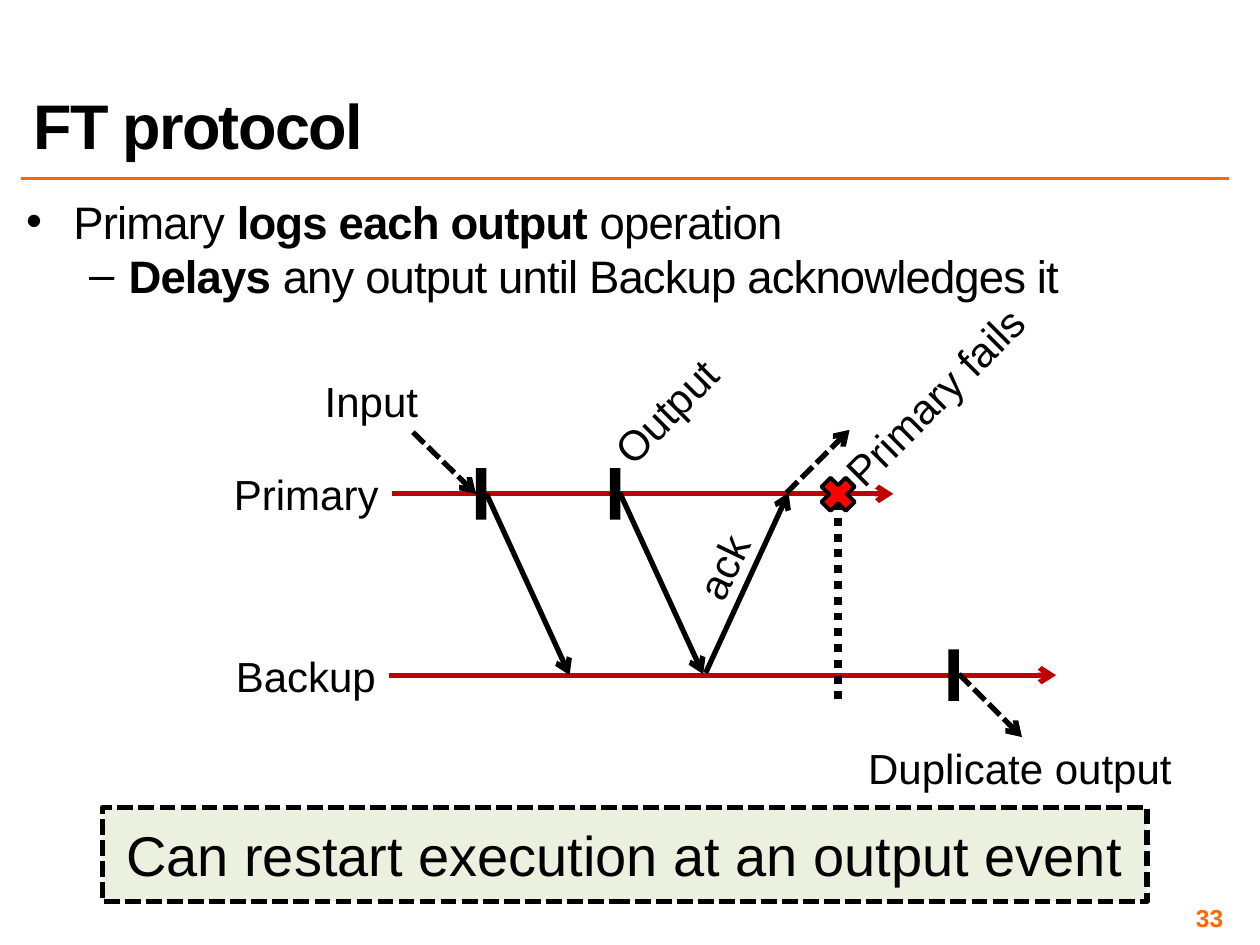
from lxml import etree
from pptx import Presentation
from pptx.dml.color import RGBColor
from pptx.enum.dml import MSO_LINE
from pptx.enum.shapes import MSO_CONNECTOR, MSO_SHAPE
from pptx.enum.text import MSO_ANCHOR, MSO_AUTO_SIZE, PP_ALIGN
from pptx.oxml.ns import qn
from pptx.util import Pt

STRAIGHT = MSO_CONNECTOR.STRAIGHT
RECTANGLE, CROSS = MSO_SHAPE.RECTANGLE, MSO_SHAPE.CROSS
DASH, DOT = MSO_LINE.SQUARE_DOT, MSO_LINE.ROUND_DOT
LEFT, CENTER, RIGHT = PP_ALIGN.LEFT, PP_ALIGN.CENTER, PP_ALIGN.RIGHT
TOP, MIDDLE, BOTTOM = MSO_ANCHOR.TOP, MSO_ANCHOR.MIDDLE, MSO_ANCHOR.BOTTOM

FONT = "Arial"
COLORS = {
    "black": "000000",
    "orange": "FF6600",
    "timeline": "C00000",
    "failure": "FF0000",
    "callout": "EBF1DE",
}
PRIMARY_Y, BACKUP_Y = 282.2, 385.8
TICK_WIDTH, TICK_HEIGHT = 6, 29.5
LABEL_HEIGHT = 36


def color(name):
    return RGBColor.from_string(COLORS[name])


def write(paragraph, *texts, size=24, ink="black", bold=False, align=LEFT,
          tracking=0, spacing=None):
    """Add runs to a paragraph; a (text, True) pair is a bold run."""
    paragraph.alignment = align
    if spacing:
        paragraph.line_spacing = spacing
    for item in texts:
        text, run_bold = item if isinstance(item, tuple) else (item, bold)
        run = paragraph.add_run()
        run.text = text
        run.font.name = FONT
        run.font.size = Pt(size)
        run.font.bold = run_bold
        run.font.color.rgb = color(ink)
        if tracking:
            run.font._element.set("spc", str(int(tracking * 100)))


def set_bullet(paragraph, character, margin, indent):
    properties = paragraph._p.get_or_add_pPr()
    properties.set("marL", str(Pt(margin)))
    properties.set("indent", str(Pt(indent)))
    etree.SubElement(properties, qn("a:buFont")).set("typeface", FONT)
    etree.SubElement(properties, qn("a:buChar")).set("char", character)


def add_box(slide, left, top, width, height, anchor=TOP, inset=3):
    box = slide.shapes.add_textbox(Pt(left), Pt(top), Pt(width), Pt(height))
    frame = box.text_frame
    frame.word_wrap = True
    frame.vertical_anchor = anchor
    frame.margin_left = frame.margin_right = Pt(inset)
    frame.margin_top = frame.margin_bottom = Pt(inset)
    return frame


def add_label(slide, text, left, top, width, rotation=0, align=CENTER):
    label = slide.shapes.add_textbox(Pt(left), Pt(top), Pt(width), Pt(LABEL_HEIGHT))
    label.rotation = rotation
    label.text_frame.word_wrap = False
    label.text_frame.auto_size = MSO_AUTO_SIZE.SHAPE_TO_FIT_TEXT
    write(label.text_frame.paragraphs[0], text, align=align)


def add_line(slide, start, end, ink="black", width=3, dash=None, arrow=True):
    points = [Pt(value) for value in (*start, *end)]
    connector = slide.shapes.add_connector(STRAIGHT, *points)
    connector.line.color.rgb = color(ink)
    connector.line.width = Pt(width)
    if dash:
        connector.line.dash_style = dash
    if arrow:
        line = connector.line._get_or_add_ln()
        etree.SubElement(line, qn("a:tailEnd")).set("type", "arrow")
    etree.SubElement(connector._element.spPr, qn("a:effectLst"))


def add_block(slide, kind, left, top, width, height, fill, line_width=0):
    shape = slide.shapes.add_shape(kind, Pt(left), Pt(top), Pt(width), Pt(height))
    shape.shadow.inherit = False
    shape.fill.solid()
    shape.fill.fore_color.rgb = color(fill)
    if line_width:
        shape.line.color.rgb = color("black")
        shape.line.width = Pt(line_width)
    else:
        shape.line.fill.background()
    return shape


def add_tick(slide, center_x, center_y):
    add_block(slide, RECTANGLE, center_x - TICK_WIDTH / 2, center_y - TICK_HEIGHT / 2,
              TICK_WIDTH, TICK_HEIGHT, "black")


def add_heading(slide):
    title = slide.shapes.title
    title.left, title.top, title.width, title.height = Pt(12), Pt(12), Pt(690), Pt(84)
    title.text_frame.vertical_anchor = BOTTOM
    write(title.text_frame.paragraphs[0], "FT protocol", size=36, bold=True,
          tracking=-1, spacing=0.8)
    add_line(slide, (12, 102), (702, 102), "orange", 2, arrow=False)


def add_bullets(slide):
    frame = add_box(slide, 12, 114, 690, 80.5)
    first = frame.paragraphs[0]
    write(first, "Primary ", ("logs each output ", True), "operation",
          size=26, tracking=-0.5, spacing=0.8)
    set_bullet(first, "•", 27, -27)
    second = frame.add_paragraph()
    second.level = 1
    second.space_before = Pt(6)
    write(second, ("Delays", True), " any output until Backup acknowledges it",
          size=26, tracking=-0.5, spacing=0.8)
    set_bullet(second, "–", 58.5, -22.5)


def add_diagram(slide):
    # Timelines
    add_label(slide, "Primary", 126, 264.2, 98)
    add_label(slide, "Backup", 127, 368, 95.5)
    add_line(slide, (224, PRIMARY_Y), (510.5, PRIMARY_Y), "timeline")
    add_line(slide, (222.5, BACKUP_Y), (603.5, BACKUP_Y), "timeline")

    # Events on the timelines
    for x, y in ((275, PRIMARY_Y), (351.5, PRIMARY_Y), (545, BACKUP_Y)):
        add_tick(slide, x, y)

    # Messages between primary and backup
    for start, end in (((278, PRIMARY_Y), (325.5, BACKUP_Y)),
                       ((354.2, 281.6), (401.8, 385.2)),
                       ((403.2, 384.6), (450.6, 281.6))):
        add_line(slide, start, end)

    # Input and outputs
    for start, end in (((236, 247), (272, PRIMARY_Y)),
                       ((449.5, 281.6), (485.5, 245.6)),
                       ((548, 385.2), (584, 421.2))):
        add_line(slide, start, end, dash=DASH)

    # Failure of the primary
    add_line(slide, (478.8, 399.6), (478.8, 281.6), width=4.5, dash=DOT, arrow=False)
    cross = add_block(slide, CROSS, 469.2, 272.7, 19.5, 19.5, "failure", 2.25)
    cross.adjustments[0] = 0.315
    cross.rotation = 45

    # Event labels
    add_label(slide, "Input", 178, 211, 68.5)
    add_label(slide, "Output", 337, 216.7, 87, rotation=315)
    add_label(slide, "Primary fails", 460.8, 208, 147.6, rotation=315, align=LEFT)
    add_label(slide, "ack", 386.6, 306, 52.5, rotation=295.8)
    add_label(slide, "Duplicate output", 485.3, 420.5, 195)


def add_callout(slide):
    callout = add_block(slide, RECTANGLE, 58.5, 461.5, 597, 53.5, "callout", 3)
    callout.line.dash_style = DASH
    callout.text_frame.word_wrap = True
    callout.text_frame.vertical_anchor = MIDDLE
    write(callout.text_frame.paragraphs[0], "Can restart execution at an output event",
          size=32, align=CENTER)


def add_page_number(slide):
    frame = add_box(slide, 534, 516.2, 168, 16.6, anchor=MIDDLE)
    write(frame.paragraphs[0], "33", size=14, ink="orange", bold=True, align=RIGHT)


def main():
    presentation = Presentation()
    presentation.slide_width, presentation.slide_height = Pt(720), Pt(540)
    slide = presentation.slides.add_slide(presentation.slide_layouts[5])
    add_heading(slide)
    add_bullets(slide)
    add_diagram(slide)
    add_callout(slide)
    add_page_number(slide)
    presentation.save("out.pptx")


if __name__ == "__main__":
    main()
